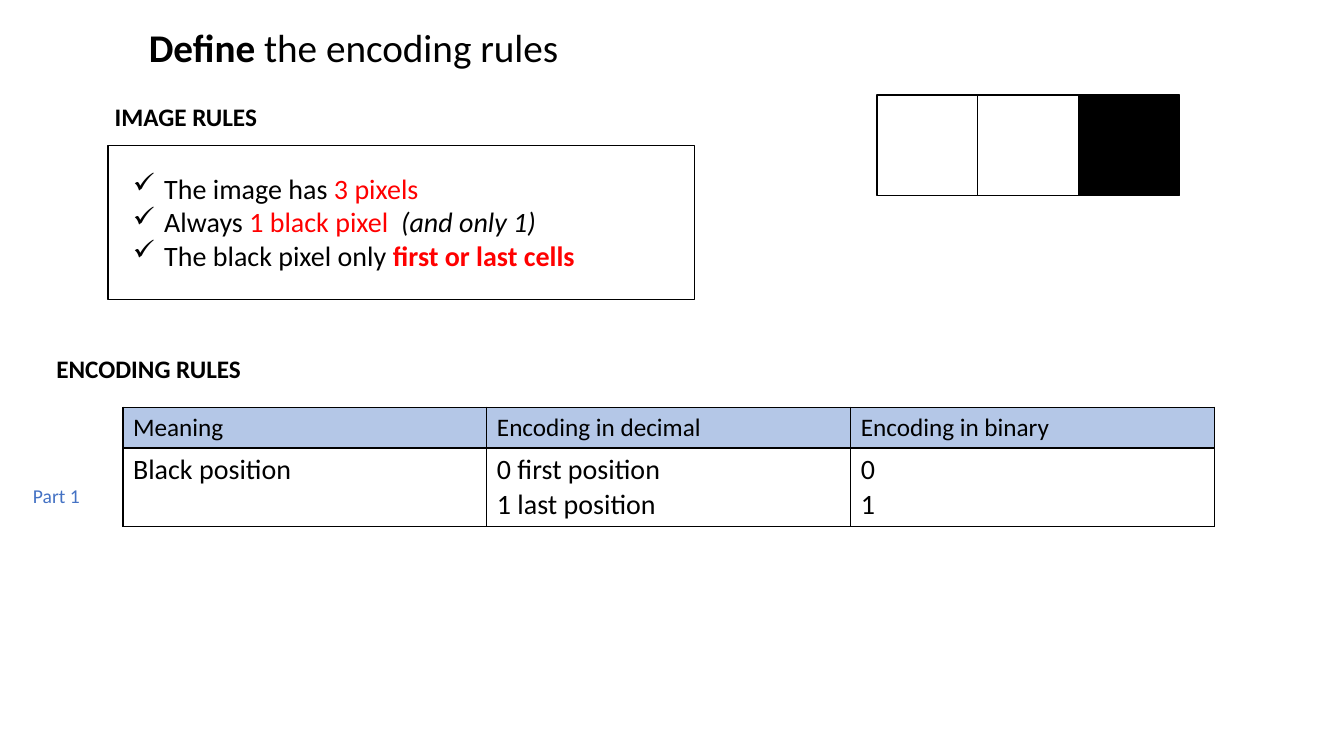
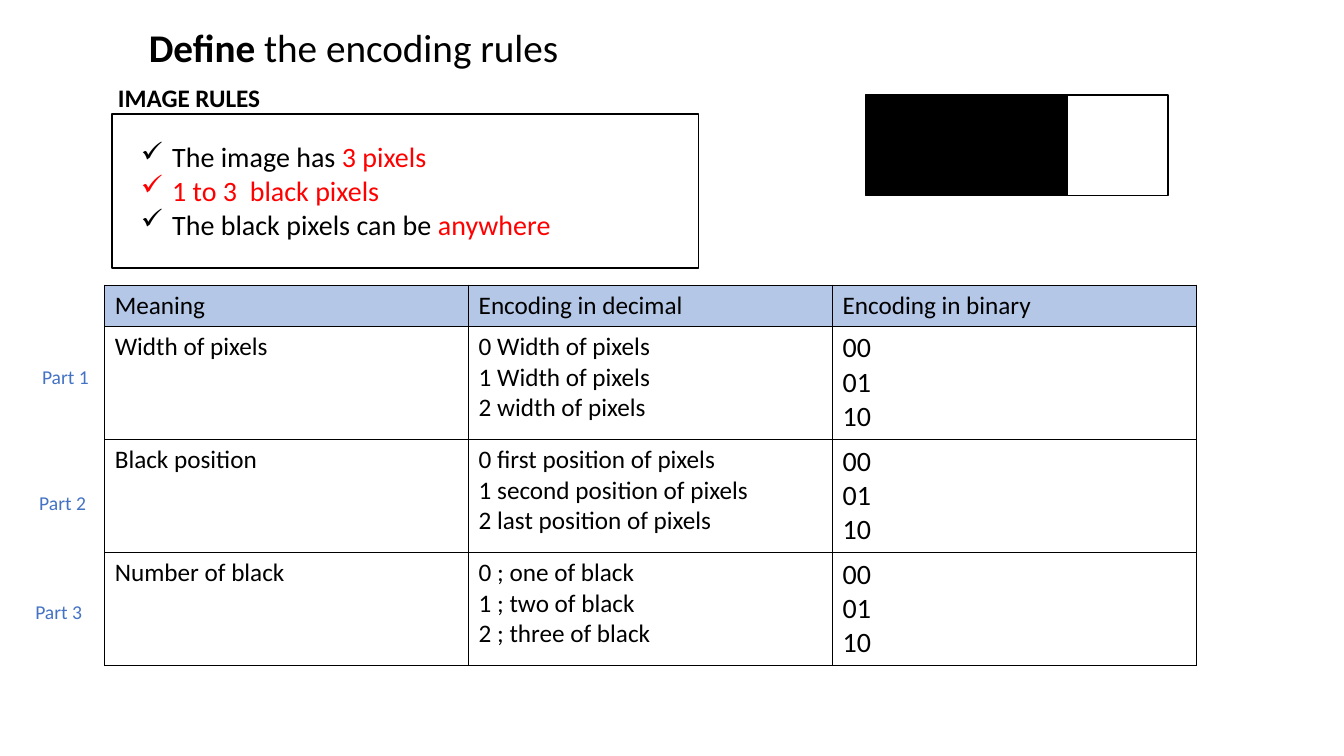
"""Build two slides that define the encoding rules of a small image."""
from lxml import etree
from pptx import Presentation
from pptx.dml.color import RGBColor
from pptx.enum.shapes import MSO_SHAPE
from pptx.enum.text import MSO_AUTO_SIZE
from pptx.oxml.ns import qn
from pptx.util import Cm, Pt

RECT = MSO_SHAPE.RECTANGLE
GROW = MSO_AUTO_SIZE.SHAPE_TO_FIT_TEXT
FONT = "Calibri"
COLORS = {"black": "000000", "white": "FFFFFF", "red": "FF0000",
          "blue": "4472C4", "head": "B4C7E7"}

TITLE = [("Define", "black", "b"), (" the encoding rules", "black", "")]
HEADS = ["Meaning", "Encoding in decimal", "Encoding in binary"]
CODES = ["00", "01", "10"]
SLIDES = [
    {
        "labels": [("IMAGE RULES", 2.64, 2.44, 4.14),
                   ("ENCODING RULES", 1.17, 8.79, 5.23)],
        "frame": (2.72, 3.66),
        "list": (3.1, 4.19, 11.66),
        "rules": [
            [("The image has ", "black", ""), ("3 pixels", "red", "")],
            [("Always ", "black", ""), ("1 black pixel  ", "red", ""),
             ("(and only 1)", "black", "i")],
            [("The black pixel only ", "black", ""),
             ("first or last cells", "red", "b")],
        ],
        "pixels": (22.1, ["white", "white", "black"]),
        "table": (3.1, 10.26, 1.96),
        "sizes": [20, 20, 20],
        "rows": [(["Black position"],
                  ["0 first position", "1 last position"], ["0", "1"])],
        "parts": [(0.58, 12.07)],
    },
    {
        "labels": [("IMAGE RULES", 2.72, 1.96, 4.14)],
        "frame": (2.82, 2.87),
        "list": (3.3, 3.4, 10.95),
        "rules": [
            [("The image has ", "black", ""), ("3 pixels", "red", "")],
            [("1 to 3  black pixels", "red", "")],
            [("The black pixels can be ", "black", ""),
             ("anywhere", "red", "")],
        ],
        "pixels": (21.82, ["black", "black", "white"]),
        "table": (2.64, 7.19, 2.85),
        "sizes": [18, 18, 20],
        "rows": [
            (["Width of pixels"],
             ["0 Width of pixels", "1 Width of pixels",
              "2 width of pixels"], CODES),
            (["Black position"],
             ["0 first position of pixels", "1 second position of pixels",
              "2 last position of pixels"], CODES),
            (["Number of black"],
             ["0 ; one of black", "1 ; two of black",
              "2 ; three of black"], CODES),
        ],
        "parts": [(0.81, 9.07), (0.74, 12.24), (0.64, 14.99)],
    },
]


def rgb(name):
    return RGBColor.from_string(COLORS[name])


def style(font, size, color):
    font.name, font.size = FONT, Pt(size)
    font.color.rgb = rgb(color)


def add_tick(para, color):
    props = para._p.get_or_add_pPr()
    props.set("marL", str(Cm(0.79)))
    props.set("indent", str(-Cm(0.79)))
    tint = etree.SubElement(props, qn("a:buClr"))
    etree.SubElement(tint, qn("a:srgbClr"), val=COLORS[color])
    etree.SubElement(props, qn("a:buChar"), char="✓")


def write(frame, lines, size, tick=False):
    for i, runs in enumerate(lines):
        para = frame.add_paragraph() if i else frame.paragraphs[0]
        base = runs[0][1]
        if tick:
            add_tick(para, base)
        style(para.font, size, base)
        for text, color, face in runs:
            run = para.add_run()
            run.text = text
            if color != base:
                run.font.color.rgb = rgb(color)
            if face:
                run.font.bold = face == "b"
                run.font.italic = face == "i"


def add_text(slide, box, lines, size, wrap=False, tick=False):
    frame = slide.shapes.add_textbox(*map(Cm, box)).text_frame
    frame.word_wrap = wrap
    frame.auto_size = GROW
    write(frame, lines, size, tick)


def add_box(slide, box, fill=None):
    shape = slide.shapes.add_shape(RECT, *map(Cm, box))
    shape.shadow.inherit = False
    if fill:
        shape.fill.solid()
        shape.fill.fore_color.rgb = rgb(fill)
    else:
        shape.fill.background()
    shape.line.color.rgb = rgb("black")
    shape.line.width = Pt(1)


def add_edges(cell):
    props = cell._tc.get_or_add_tcPr()
    for side in ("lnL", "lnR", "lnT", "lnB"):
        line = etree.SubElement(props, qn("a:" + side), w=str(Pt(1)))
        fill = etree.SubElement(line, qn("a:solidFill"))
        etree.SubElement(fill, qn("a:srgbClr"), val=COLORS["black"])


def add_grid(slide, data):
    left, top, tall = data["table"]
    rows = [[[head] for head in HEADS], *data["rows"]]
    high = 1.03 + tall * len(data["rows"])
    grid = slide.shapes.add_table(
        len(rows), len(HEADS), *map(Cm, (left, top, 27.51, high))).table
    grid.first_row = grid.horz_banding = False
    for col in grid.columns:
        col.width = Cm(9.17)
    for r, row in enumerate(rows):
        grid.rows[r].height = Cm(tall if r else 1.03)
        for c, lines in enumerate(row):
            cell = grid.cell(r, c)
            add_edges(cell)
            if r:
                cell.fill.background()
            else:
                cell.fill.solid()
                cell.fill.fore_color.rgb = rgb("head")
            size = data["sizes"][c] if r else 18
            write(cell.text_frame,
                  [[(line, "black", "")] for line in lines], size)


def add_slide(deck, data):
    slide = deck.slides.add_slide(deck.slide_layouts[6])
    add_grid(slide, data)
    for i, (left, top) in enumerate(data["parts"], 1):
        add_text(slide, (left, top, 1.7, 0.86),
                 [[(f"Part {i}", "blue", "")]], 14)
    add_text(slide, (3.5, 0.46, 11.43, 1.45), [TITLE], 28, wrap=True)
    for text, left, top, wide in data["labels"]:
        add_text(slide, (left, top, wide, 1.02), [[(text, "black", "b")]], 18)
    add_box(slide, (*data["frame"], 14.78, 3.89))
    left, top, wide = data["list"]
    add_text(slide, (left, top, wide, 2.82), data["rules"], 20, tick=True)
    left, fills = data["pixels"]
    for i, fill in enumerate(fills):
        add_box(slide, (left + 2.54 * i, 2.39, 2.54, 2.54), fill)


deck = Presentation()
deck.slide_width, deck.slide_height = Cm(33.87), Cm(19.05)
for data in SLIDES:
    add_slide(deck, data)
deck.save("out.pptx")
